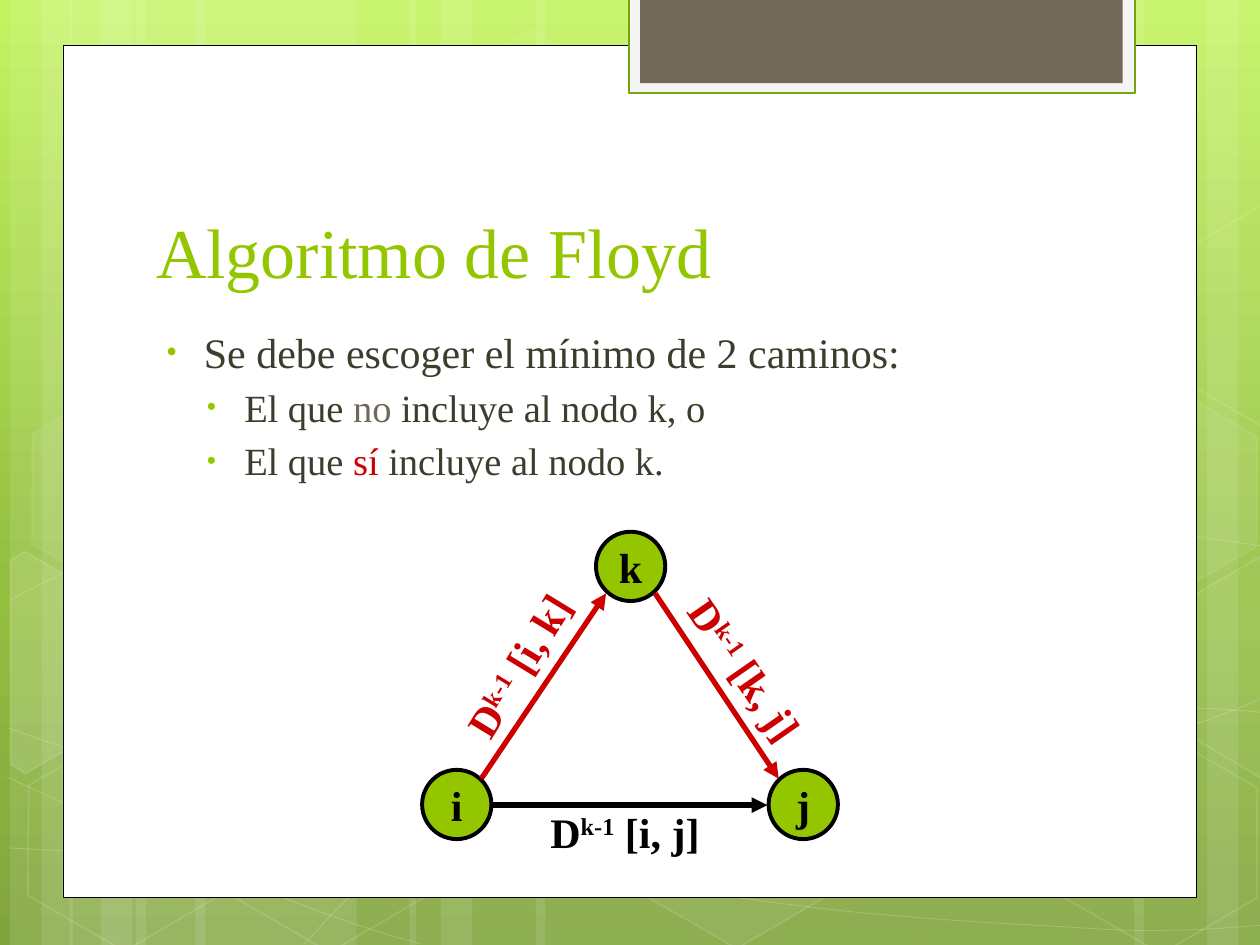
from copy import deepcopy
from math import cos, radians, sin

from lxml import etree
from pptx import Presentation
from pptx.dml.color import RGBColor
from pptx.enum.shapes import MSO_CONNECTOR, MSO_SHAPE
from pptx.enum.text import MSO_ANCHOR, MSO_AUTO_SIZE, PP_ALIGN
from pptx.oxml.ns import qn
from pptx.util import Pt

RECT, OVAL, HEXAGON = MSO_SHAPE.RECTANGLE, MSO_SHAPE.OVAL, MSO_SHAPE.HEXAGON
STRAIGHT = MSO_CONNECTOR.STRAIGHT
TOP, MIDDLE, BOTTOM = MSO_ANCHOR.TOP, MSO_ANCHOR.MIDDLE, MSO_ANCHOR.BOTTOM
FIT, CENTER = MSO_AUTO_SIZE.SHAPE_TO_FIT_TEXT, PP_ALIGN.CENTER

PX = 9144  # EMU in one px, 100 px to the inch
TILT = 30  # degrees every hexagon is turned
FONT = "Times New Roman"
WHITE = RGBColor(0xFF, 0xFF, 0xFF)
BLACK = RGBColor(0, 0, 0)
GREEN = RGBColor(0x94, 0xC6, 0x00)
DARK_GREEN = RGBColor(0x74, 0xA5, 0x10)
RED = RGBColor(0xCC, 0, 0)
TAUPE = RGBColor(0x71, 0x68, 0x5A)
OLIVE = RGBColor(0x3E, 0x3D, 0x2D)
PALE = RGBColor(0xF5, 0xF5, 0xF5)
GRADIENT = [(0, RGBColor(0xC3, 0xF3, 0x5F)), (0.62, RGBColor(0x93, 0xBF, 0x3F)),
            (1, RGBColor(0x81, 0xA5, 0x3E))]

STRIPES = [(108, 175), (8, 50), (33, 83), (155, 175), (55, 50), (80, 83),
           (733, 175), (958, 50), (900, 83), (425, 308), (325, 50), (350, 83)]
# Each curve: a start point, then three Bézier points for every segment
CURVES = [
    [(7, 673), (61, 676), (115, 679), (190, 678), (265, 677), (358, 675), (458, 665),
     (558, 655), (700, 636), (792, 617), (883, 598), (977, 568), (1007, 551)],
    [(7, 477), (36, 461), (65, 446), (121, 431), (178, 416), (259, 394), (347, 387),
     (436, 380), (544, 379), (654, 387), (764, 395), (947, 426), (1007, 434)],
    [(6, 617), (127, 672), (247, 727), (334, 749)],
    [(7, 578), (38, 589), (70, 600), (128, 616), (186, 631), (273, 656), (357, 673),
     (440, 690), (545, 708), (628, 718), (711, 729), (800, 733), (853, 736),
     (905, 740), (919, 738), (945, 738), (971, 737), (989, 735), (1007, 734)],
    [(242, 749), (260, 729), (278, 709), (302, 691), (326, 673), (360, 653), (388, 639),
     (416, 625), (433, 619), (470, 609), (506, 599), (573, 585), (608, 578),
     (644, 571), (649, 571), (680, 569), (711, 566), (760, 563), (794, 562),
     (829, 561), (886, 562), (886, 562), (908, 562), (931, 562), (953, 562),
     (971, 563), (988, 564), (997, 565), (1006, 566), (1003, 565), (1006, 566)],
]
# left, top, fill opacity, line opacity
HEXAGONS = [(334, 36, 4, 8), (497, 589, 6, 12), (11, 591, 0, 12), (14, 312, 7, 8),
            (174, 592, 0, 12), (753, 453, 10, 12), (834, 593, 0, 12), (834, 314, 7, 8)]
# fill opacity, centre of turning, corners as they show
CUT_HEXAGONS = [
    (10, (36, 535), [(8, 445), (19, 438), (96, 482), (95, 570), (20, 614), (8, 607)]),
    (4, (985, 520),
     [(926, 485), (1001, 441), (1009, 446), (1009, 613), (1002, 617), (926, 573)]),
    (0, (985, 241),
     [(926, 207), (1001, 163), (1010, 168), (1009, 335), (1002, 339), (926, 295)]),
]
BULLETS = [
    (0, 38, 24, [("Se debe escoger el mínimo de 2 caminos:", OLIVE)]),
    (1, 70, 22, [("El que ", OLIVE), ("no", TAUPE), (" incluye al nodo k, o", OLIVE)]),
    (1, 70, 22, [("El que ", OLIVE), ("sí", RED), (" incluye al nodo k.", OLIVE)]),
]
NODES = [("i", 335, 611), ("j", 610, 611), ("k", 473, 422)]
EDGES = [((391, 639), (609, 639), BLACK), ((382, 618), (481, 471), RED),
         ((520, 471), (618, 618), RED)]
LABELS = [(" [i, j]", 427, 635, 143, 0, BLACK), (" [k, j]", 517, 508, 152, 55.2, RED),
          (" [i, k]", 337, 501, 150, 301.4, RED)]


def turn(points, center, degrees):
    cx, cy = center
    c, s = cos(radians(degrees)), sin(radians(degrees))
    return [(cx + (x - cx) * c - (y - cy) * s, cy + (x - cx) * s + (y - cy) * c)
            for x, y in points]


def add_xml(parent, tag, **attrs):
    return etree.SubElement(parent, qn(tag), attrs)


class Deck:
    def __init__(self, slide):
        self.slide = slide
        self.shapes = slide.shapes

    def background(self, stops):
        fill = self.slide.background.fill
        fill.gradient()
        fill.gradient_angle = 270
        gs_list = next(self.slide.element.iter(qn("a:gsLst")))
        while len(gs_list) < len(stops):
            gs_list.append(deepcopy(gs_list[0]))
        for stop, (position, color) in zip(fill.gradient_stops, stops):
            stop.position = position
            stop.color.rgb = color

    def paint(self, sp, fill=None, line=None, width=1, fill_alpha=100, line_alpha=100):
        """Set fill and outline; None or zero opacity leaves the part empty."""
        sp.shadow.inherit = False
        parts = [(sp.fill, fill, fill_alpha, ""), (sp.line.fill, line, line_alpha, "a:ln")]
        for part, color, alpha, holder in parts:
            if color is None or alpha == 0:
                part.background()
                continue
            part.solid()
            part.fore_color.rgb = color
            if alpha < 100:
                props = sp.element.spPr
                owner = props.find(qn(holder)) if holder else props
                solid = owner.find(qn("a:solidFill"))
                add_xml(solid[0], "a:alpha", val=str(alpha * 1000))
        if line is not None:
            sp.line.width = Pt(width)
        return sp

    def shape(self, kind, x, y, w, h, rotation=0, **look):
        sp = self.shapes.add_shape(kind, x * PX, y * PX, w * PX, h * PX)
        sp.rotation = rotation
        return self.paint(sp, **look)

    def hexagon(self, x, y, fill_alpha, line_alpha):
        sp = self.shape(HEXAGON, x, y, 175, 152, TILT, fill=WHITE, line=WHITE,
                        fill_alpha=fill_alpha, line_alpha=line_alpha)
        sp.adjustments[0], sp.adjustments[1] = 0.285, 1.155

    def outline(self, points, close, **look):
        builder = self.shapes.build_freeform(*points[0], scale=PX)
        builder.add_line_segments(points[1:], close=close)
        return self.paint(builder.convert_to_shape(), **look)

    def cut_hexagon(self, alpha, center, corners):
        sp = self.outline(turn(corners, center, -TILT), True, fill=WHITE,
                          fill_alpha=alpha, line=WHITE, line_alpha=12)
        sp.rotation = TILT

    def curve(self, points):
        """Draw a chain of cubic Béziers, three line ends merged into each segment."""
        sp = self.outline(points, False, line=WHITE, width=0.5, line_alpha=20)
        ends = list(sp.element.iter(qn("a:lnTo")))
        for n in range(0, len(ends), 3):
            segment = add_xml(ends[n].getparent(), "a:cubicBezTo")
            for end in ends[n:n + 3]:
                segment.append(end[0])
                end.getparent().remove(end)

    def arrow(self, start, end, color):
        cxn = self.shapes.add_connector(STRAIGHT, *(v * PX for v in start + end))
        cxn.line.color.rgb = color
        cxn.line.width = Pt(3)
        add_xml(cxn.element.spPr.find(qn("a:ln")), "a:tailEnd", type="triangle")
        add_xml(cxn.element.spPr, "a:effectLst")

    def run(self, p, text, size, color, bold=False):
        r = p.add_run()
        r.text = text
        for name, value in {"name": FONT, "size": Pt(size), "bold": bold}.items():
            setattr(r.font, name, value)
        r.font.color.rgb = color
        return r

    def textbox(self, x, y, w, h, **frame):
        sp = self.shapes.add_textbox(x * PX, y * PX, w * PX, h * PX)
        for name, value in {"word_wrap": True, **frame}.items():
            setattr(sp.text_frame, name, value)
        return sp

    def bullets(self, tf, items):
        for n, (level, indent, size, runs) in enumerate(items):
            p = tf.add_paragraph() if n else tf.paragraphs[0]
            p.level = level
            p.space_before = Pt(4.2 if n else 0)
            props = p._p.get_or_add_pPr()
            props.set("marL", str(indent * PX))
            props.set("indent", str(-30 * PX))
            add_xml(add_xml(props, "a:buClr"), "a:srgbClr", val=str(GREEN))
            add_xml(props, "a:buSzPct", val="76000")
            add_xml(props, "a:buFont", typeface=FONT)
            add_xml(props, "a:buChar", char="•")
            for text, color in runs:
                self.run(p, text, size, color)

    def node(self, name, x, y):
        sp = self.shape(OVAL, x, y, 55, 55, fill=GREEN, line=BLACK, width=2.25)
        tf = sp.text_frame
        tf.word_wrap, tf.vertical_anchor = False, MIDDLE
        tf.paragraphs[0].alignment = CENTER
        self.run(tf.paragraphs[0], name, 24, BLACK, True)

    def distance(self, ends, x, y, w, rotation, color):
        """Label an edge with D, the superscript k-1 and its ends."""
        sp = self.textbox(x, y, w, 50, word_wrap=False, auto_size=FIT)
        sp.rotation = rotation
        p = sp.text_frame.paragraphs[0]
        for text in ("D", "k-1", ends):
            r = self.run(p, text, 24, color, True)
            if text == "k-1":
                r.font._element.set("baseline", "30000")


def main():
    prs = Presentation()
    prs.slide_width, prs.slide_height = 1000 * PX, 750 * PX
    s = Deck(prs.slides.add_slide(prs.slide_layouts[6]))

    s.background(GRADIENT)
    for x, w in STRIPES:
        s.shape(RECT, x, 0, w, 750, fill=WHITE, fill_alpha=10)
    for draw, items in ((s.hexagon, HEXAGONS), (s.cut_hexagon, CUT_HEXAGONS)):
        for item in items:
            draw(*item)
    for points in CURVES:
        s.curve(points)
    s.shape(RECT, 50, 36, 900, 676, fill=WHITE, line=BLACK, width=0.5)
    s.shape(RECT, 499, -2, 402, 76, fill=PALE, line=DARK_GREEN, width=1.25)
    s.shape(RECT, 508, -2, 383, 68, fill=TAUPE)

    title = s.textbox(114, 112, 768, 125, vertical_anchor=BOTTOM)
    s.run(title.text_frame.paragraphs[0], "Algoritmo de Floyd", 40, GREEN)
    body = s.textbox(114, 254, 741, 384, vertical_anchor=TOP)
    s.bullets(body.text_frame, BULLETS)

    for draw, items in ((s.node, NODES), (s.arrow, EDGES), (s.distance, LABELS)):
        for item in items:
            draw(*item)
    prs.save("out.pptx")


if __name__ == "__main__":
    main()
